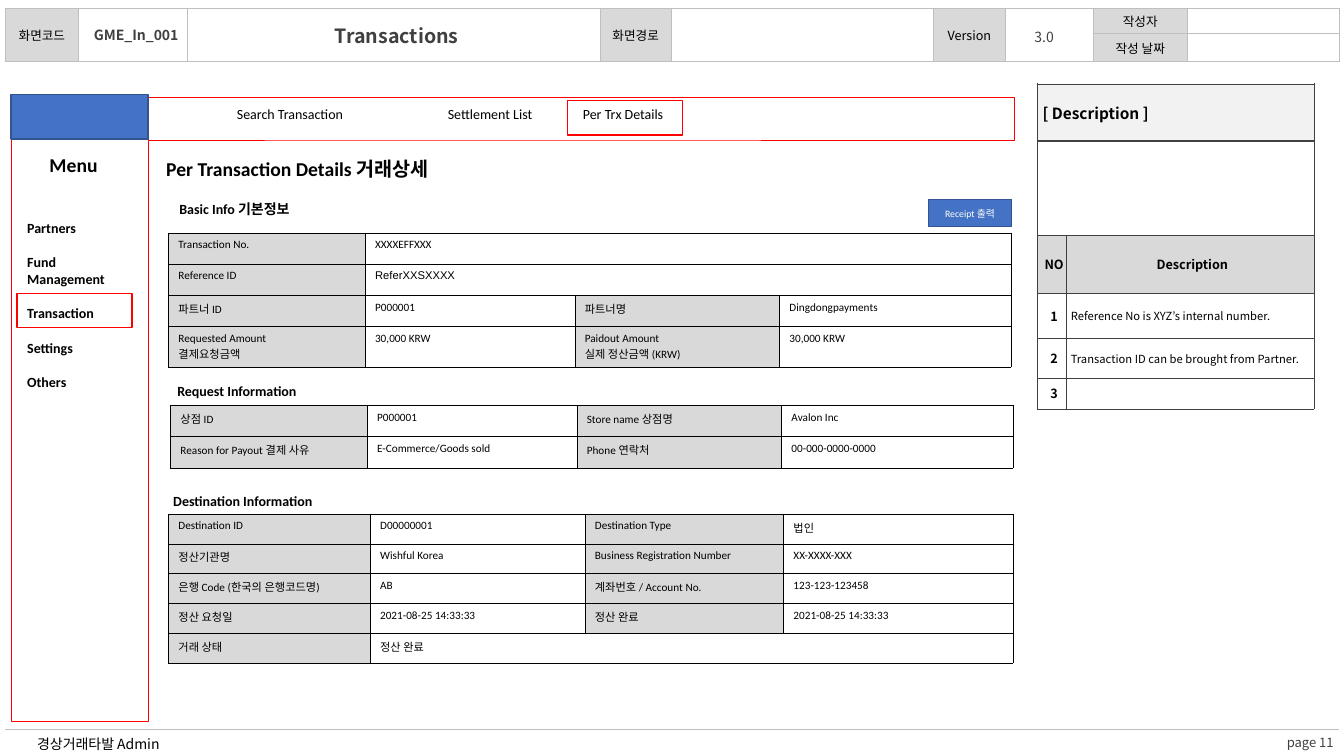
from lxml.etree import SubElement
from pptx import Presentation
from pptx.dml.color import RGBColor
from pptx.enum.shapes import MSO_SHAPE
from pptx.enum.text import MSO_ANCHOR, PP_ALIGN
from pptx.oxml.ns import qn
from pptx.util import Inches, Pt

BLACK = RGBColor(0x00, 0x00, 0x00)
WHITE = RGBColor(0xFF, 0xFF, 0xFF)
CHARCOAL = RGBColor(0x40, 0x40, 0x40)
SILVER = RGBColor(0xBF, 0xBF, 0xBF)
LABEL_GREY = RGBColor(0xD9, 0xD9, 0xD9)
PALE_GREY = RGBColor(0xF2, 0xF2, 0xF2)
RED = RGBColor(0xFF, 0x00, 0x00)
BLUE = RGBColor(0x44, 0x72, 0xC4)
NAVY = RGBColor(0x32, 0x54, 0x91)
NOTO = "Noto Sans CJK KR"
LEFT, CENTER = PP_ALIGN.LEFT, PP_ALIGN.CENTER
TOP, MIDDLE = MSO_ANCHOR.TOP, MSO_ANCHOR.MIDDLE

prs = Presentation()
prs.slide_width, prs.slide_height = Inches(13.33), Inches(7.5)
slide = prs.slides.add_slide(prs.slide_layouts[6])
shapes = slide.shapes


def write(holder, text, size=8, font="Calibri", color=BLACK, bold=False, align=LEFT,
          anchor=TOP, margins=(0.1, 0.05, 0.1, 0.05), wrap=True, gap=0):
    """Fill a shape or a table cell with one paragraph per line of text."""
    frame = holder.text_frame
    box = holder if hasattr(holder, "margin_left") else frame
    box.margin_left, box.margin_top, box.margin_right, box.margin_bottom = map(Inches, margins)
    box.vertical_anchor = anchor
    frame.word_wrap = wrap
    for i, line in enumerate(text.split("\n")):
        paragraph = frame.add_paragraph() if i else frame.paragraphs[0]
        paragraph.alignment = align
        if i and gap:
            paragraph.space_before = Pt(gap)
        if not line:
            SubElement(paragraph._p, qn("a:endParaRPr"), sz=str(int(size * 100)))
            continue
        run = paragraph.add_run()
        run.text = line
        run.font.size, run.font.name, run.font.bold = Pt(size), font, bold
        run.font.color.rgb = color
        SubElement(run._r.get_or_add_rPr(), qn("a:ea"), typeface=NOTO)


def build_table(left, top, widths, heights, rows, look, border=None, merges=(),
                heavy_edges=(), open_rows=()):
    """Draw a table; look(row, column) gives the cell's fill and text format."""
    table = shapes.add_table(len(heights), len(widths), Inches(left), Inches(top),
                             Inches(sum(widths)), Inches(sum(heights))).table
    table.first_row = table.horz_banding = False
    for column, width in zip(table.columns, widths):
        column.width = Inches(width)
    for row, height in zip(table.rows, heights):
        row.height = Inches(height)
    for r in range(len(heights)):
        for c in range(len(widths)):
            cell = table.cell(r, c)
            text_format = look(r, c)
            fill = text_format.pop("fill", None)
            write(cell, rows[r][c] if c < len(rows[r]) else "", **text_format)
            for side, edge in (("L", None), ("R", None), ("T", r), ("B", r + 1)):
                weight = 1 if edge in heavy_edges else 0.25
                line = SubElement(cell._tc.get_or_add_tcPr(), qn(f"a:ln{side}"), w=str(Pt(weight)))
                if border is None or (side in "LR" and r in open_rows):
                    SubElement(line, qn("a:noFill"))
                else:
                    SubElement(SubElement(line, qn("a:solidFill")), qn("a:srgbClr"), val=str(border))
            if fill is None:
                cell.fill.background()
            else:
                cell.fill.solid()
                cell.fill.fore_color.rgb = fill
    for r1, c1, r2, c2 in merges:
        table.cell(r1, c1).merge(table.cell(r2, c2))


# Page header and frame
build_table(
    0.05, 0.08, [0.73, 1.08, 4.09, 0.71, 2.6, 0.71, 0.87, 0.94, 1.5], [0.25, 0.28, 6.62],
    [["화면코드", "", "", "화면경로", "", "Version", "", "작성자"],
     ["", "", "", "", "", "", "", "작성 날짜"], []],
    lambda r, c: dict(size=9, font=NOTO, align=CENTER, anchor=MIDDLE,
                      margins=(0.01, 0.01, 0.01, 0),
                      fill=LABEL_GREY if r < 2 and c in (0, 3, 5, 7) else None),
    border=SILVER, open_rows=(2,),
    merges=[(0, c, 1, c) for c in range(7)] + [(2, 0, 2, 8)])

# Description panel
description_looks = [
    dict(size=11, bold=True, fill=PALE_GREY),
    dict(size=9, fill=WHITE),
    dict(size=9, bold=True, align=CENTER, fill=LABEL_GREY),
]
note_looks = [dict(size=9, bold=True, align=CENTER), dict(size=8)]
build_table(
    10.29, 0.83, [0.28, 2.46], [0.57, 0.94, 0.57, 0.45, 0.39, 0.31],
    [["[ Description ]"], [], ["NO", "Description"],
     ["1", "Reference No is XYZ’s internal number."],
     ["2", "Transaction ID can be brought from Partner."], ["3"]],
    lambda r, c: dict(description_looks[r] if r < 3 else note_looks[c],
                      font=NOTO, anchor=MIDDLE, margins=(0.05, 0, 0, 0)),
    border=CHARCOAL, heavy_edges=(1, 2), merges=[(0, 0, 0, 1), (1, 0, 1, 1)])

# Detail tables: grey label columns alternate with white value columns
basic_rows = [
    ["Transaction No.", "XXXXEFFXXX"],
    ["Reference ID", "ReferXXSXXXX"],
    ["파트너 ID", "P000001", "파트너명", "Dingdongpayments"],
    ["Requested Amount\n결제요청금액", "30,000 KRW", "Paidout Amount\n실제 정산금액 (KRW)", "30,000 KRW"],
]
request_rows = [
    ["상점 ID", "P000001", "Store name 상점명", "Avalon Inc"],
    ["Reason for Payout 결제 사유", "E-Commerce/Goods sold", "Phone 연락처", "00-000-0000-0000"],
]
destination_rows = [
    ["Destination ID", "D00000001", "Destination Type", "법인"],
    ["정산기관명", "Wishful Korea", "Business Registration Number", "XX-XXXX-XXX"],
    ["은행 Code (한국의 은행코드명)", "AB", "계좌번호 / Account No.", "123-123-123458"],
    ["정산 요청일", "2021-08-25 14:33:33", "정산 완료", "2021-08-25 14:33:33"],
    ["거래 상태", "정산 완료"],
]
detail_widths = [1.95, 2.08, 2.03, 2.3]
for left, top, widths, heights, rows in [
    (1.67, 2.31, detail_widths, [0.31, 0.31, 0.31, 0.37], basic_rows),
    (1.69, 4.02, detail_widths, [0.31] * 2, request_rows),
    (1.67, 5.1, [2, 2.13, 1.97, 2.28], [0.295] * 5, destination_rows),
]:
    build_table(
        left, top, widths, heights, rows,
        lambda r, c: dict(fill=WHITE if c % 2 else LABEL_GREY,
                          font="Arial" if c < len(rows[r]) and rows[r][c] == "ReferXXSXXXX" else "Calibri"),
        border=BLACK, merges=[(r, 1, r, 3) for r, row in enumerate(rows) if len(row) == 2])

# Top bar, side menu, menu head and receipt button
for left, top, width, height, fill, line, weight, text in [
    (0.11, 0.96, 9.95, 0.43, WHITE, RED, 0.25, ""),
    (0.11, 0.96, 1.36, 6.2, WHITE, RED, 0.25, ""),
    (0.11, 0.94, 1.36, 0.44, BLUE, NAVY, 1, ""),
    (9.21, 1.98, 0.82, 0.27, BLUE, NAVY, 1, "Receipt 출력"),
]:
    panel = shapes.add_shape(MSO_SHAPE.RECTANGLE, Inches(left), Inches(top), Inches(width), Inches(height))
    panel.shadow.inherit = False
    panel.fill.solid()
    panel.fill.fore_color.rgb = fill
    panel.line.color.rgb, panel.line.width = line, Pt(weight)
    write(panel, text, size=7, color=WHITE, align=CENTER, anchor=MIDDLE)

# Menu entries and tabs
build_table(0.17, 1.87, [1.23], [0.25, 2.28],
            [[], ["Partners\nFund Management\nTransaction\nSettings\nOthers"]],
            lambda r, c: dict(size=10, bold=True, gap=12.2, fill=WHITE))
build_table(1.55, 0.98, [2.65] + [1.32] * 4, [0.32],
            [["Search Transaction", "Settlement List", "Per Trx Details"]],
            lambda r, c: dict(size=10, align=CENTER, anchor=MIDDLE, fill=WHITE))

# Red frames around the current menu entry and tab
for left, top in [(0.17, 2.91), (5.63, 1)]:
    marker = shapes.add_shape(MSO_SHAPE.RECTANGLE, Inches(left), Inches(top), Inches(1.14), Inches(0.34))
    marker.shadow.inherit = False
    marker.fill.background()
    marker.line.color.rgb, marker.line.width = RED, Pt(1)

# Headings, header values and footer
heading = dict(size=14, bold=True, wrap=False)
section = dict(size=10, bold=True, wrap=False)
header_value = dict(size=10, font=NOTO, color=CHARCOAL, align=CENTER, margins=(0, 0.05, 0.1, 0.05))
for left, top, width, height, text, text_format in [
    (0.36, 1.47, 0.74, 0.34, "Menu", dict(heading, align=CENTER)),
    (1.55, 1.51, 3.2, 0.34, "Per Transaction Details 거래상세", heading),
    (1.59, 1.94, 1.47, 0.27, "Basic Info 기본정보", dict(section, align=CENTER)),
    (1.66, 3.75, 1.52, 0.27, "Request Information", section),
    (1.62, 4.84, 1.74, 0.27, "Destination Information", section),
    (0.78, 0.21, 1.24, 0.27, "GME_In_001", dict(header_value, bold=True)),
    (1.94, 0.19, 4.09, 0.34, "Transactions", dict(header_value, size=14, bold=True)),
    (10.05, 0.23, 0.71, 0.27, "3.0", header_value),
    (0.27, 7.25, 12, 0.25, "경상거래타발 Admin", dict(size=10, font=NOTO, anchor=MIDDLE, wrap=False)),
    (12.47, 7.23, 1.05, 0.26, "page 11",
     dict(size=9.3, font=NOTO, color=CHARCOAL, align=CENTER, anchor=MIDDLE)),
]:
    label = shapes.add_textbox(Inches(left), Inches(top), Inches(width), Inches(height))
    write(label, text, **text_format)

prs.save("out.pptx")
